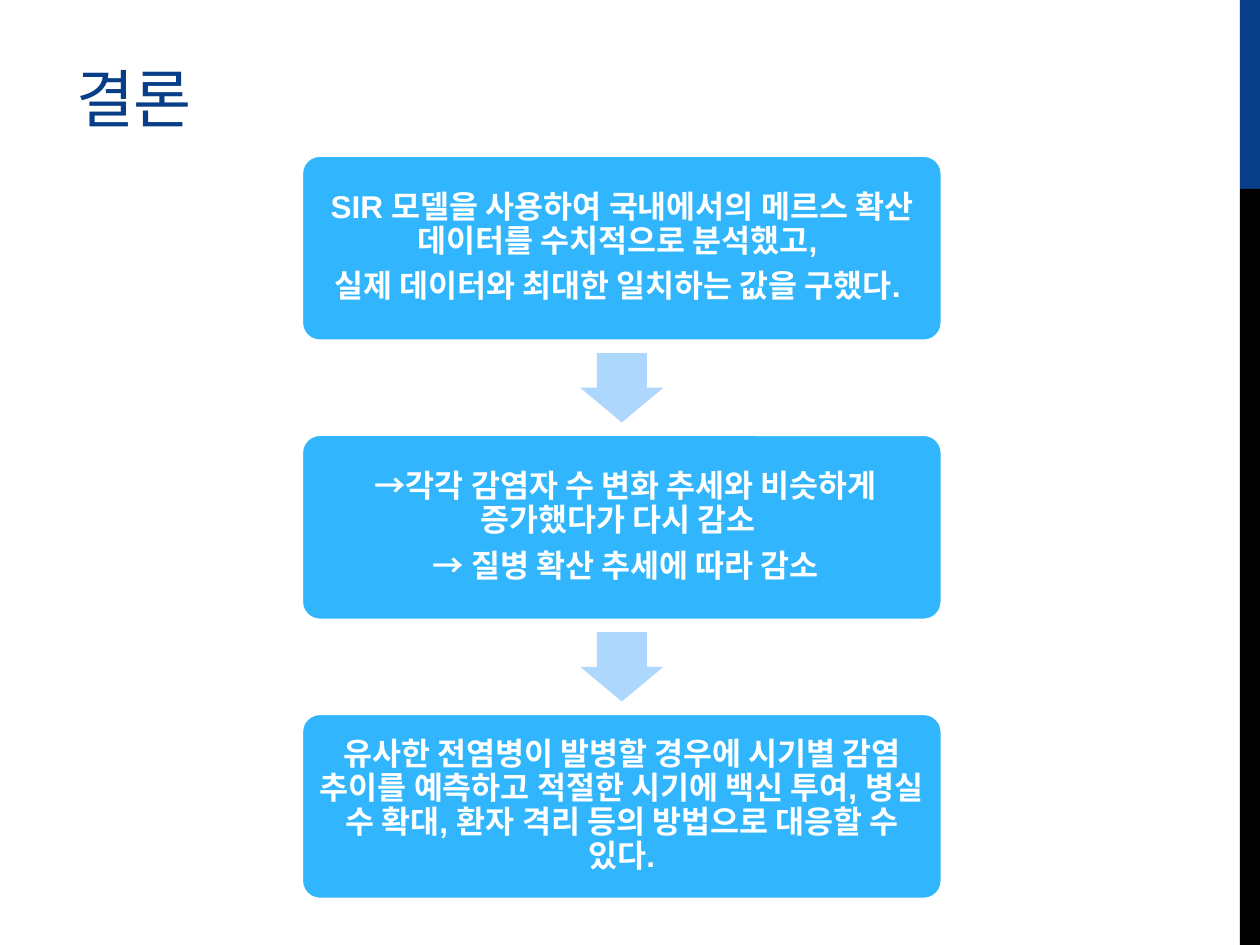
from pptx import Presentation, util as u
from pptx.dml.color import RGBColor
from pptx.enum import shapes, text

TITLE = "결론"
STEPS = [
    ["SIR 모델을 사용하여 국내에서의 메르스 확산 데이터를 수치적으로 분석했고, ",
     "실제 데이터와 최대한 일치하는 값을 구했다. "],
    [" →각각 감염자 수 변화 추세와 비슷하게 증가했다가 다시 감소 ",
     " → 질병 확산 추세에 따라 감소"],
    ["유사한 전염병이 발병할 경우에 시기별 감염 추이를 예측하고 적절한 시기에 백신 투여, "
     "병실 수 확대, 환자 격리 등의 방법으로 대응할 수 있다."],
]
SIDE_BARS = [(0, 1.5, "073E87"), (1.5, 6, "000000")]
BOX_LEFT, BOX_TOP, BOX_WIDTH, BOX_HEIGHT = 2.39, 1.23, 5.09, 1.48
BOX_STEP = 2.215
ARROW_WIDTH, ARROW_HEIGHT = 0.55, 0.66


def color(value):
    return RGBColor.from_string(value)


def add_shape(slide, kind, box, fill, adjustments=()):
    shape = slide.shapes.add_shape(kind, *map(u.Inches, box))
    shape.shadow.inherit = False
    shape.fill.solid()
    shape.fill.fore_color.rgb = color(fill)
    shape.line.fill.background()
    for index, value in enumerate(adjustments):
        shape.adjustments[index] = value
    return shape


def add_run(paragraph, content, font, size, fill, bold=False):
    run = paragraph.add_run()
    run.text = content
    run.font.name = font
    run.font.size = u.Pt(size)
    run.font.bold = bold
    run.font.color.rgb = color(fill)
    return run


def add_title(slide):
    shape = slide.shapes.add_textbox(*map(u.Inches, (0.51, 0.21, 6.33, 0.91)))
    frame = shape.text_frame
    frame.word_wrap = True
    frame.vertical_anchor = text.MSO_ANCHOR.BOTTOM
    run = add_run(frame.paragraphs[0], TITLE, "Montserrat", 36, "073E87")
    run.font._element.set("spc", "-60")


def add_step(slide, top, lines):
    shape = add_shape(slide, shapes.MSO_SHAPE.ROUNDED_RECTANGLE,
                      (BOX_LEFT, top, BOX_WIDTH, BOX_HEIGHT), "31B6FD", [0.1])
    shape.line.color.rgb = color("FFFFFF")
    shape.line.width = u.Pt(2.25)
    frame = shape.text_frame
    frame.word_wrap = True
    frame.vertical_anchor = text.MSO_ANCHOR.MIDDLE
    frame.margin_left = frame.margin_right = u.Inches(0.07)
    frame.margin_top = frame.margin_bottom = u.Inches(0.07)
    for index, line in enumerate(lines):
        paragraph = frame.add_paragraph() if index else frame.paragraphs[0]
        paragraph.alignment = text.PP_ALIGN.CENTER
        paragraph.line_spacing = 0.9
        paragraph.space_after = u.Pt(6.3)
        add_run(paragraph, line, "Arial", 18, "FFFFFF", True)


def add_arrow(slide, top):
    center_x = BOX_LEFT + BOX_WIDTH / 2
    center_y = top + (BOX_HEIGHT + BOX_STEP) / 2
    box = (center_x - ARROW_WIDTH / 2, center_y - ARROW_HEIGHT / 2,
           ARROW_WIDTH, ARROW_HEIGHT)
    arrow = add_shape(slide, shapes.MSO_SHAPE.RIGHT_ARROW, box, "AED7FE", [0.6, 0.5])
    arrow.rotation = 90


def main():
    presentation = Presentation()
    presentation.slide_width = u.Inches(10)
    presentation.slide_height = u.Inches(7.5)
    slide = presentation.slides.add_slide(presentation.slide_layouts[6])
    for top, height, fill in SIDE_BARS:
        add_shape(slide, shapes.MSO_SHAPE.RECTANGLE, (9.84, top, 0.16, height), fill)
    add_title(slide)
    for index, lines in enumerate(STEPS):
        top = BOX_TOP + index * BOX_STEP
        add_step(slide, top, lines)
        if index < len(STEPS) - 1:
            add_arrow(slide, top)
    presentation.save("out.pptx")


if __name__ == "__main__":
    main()
